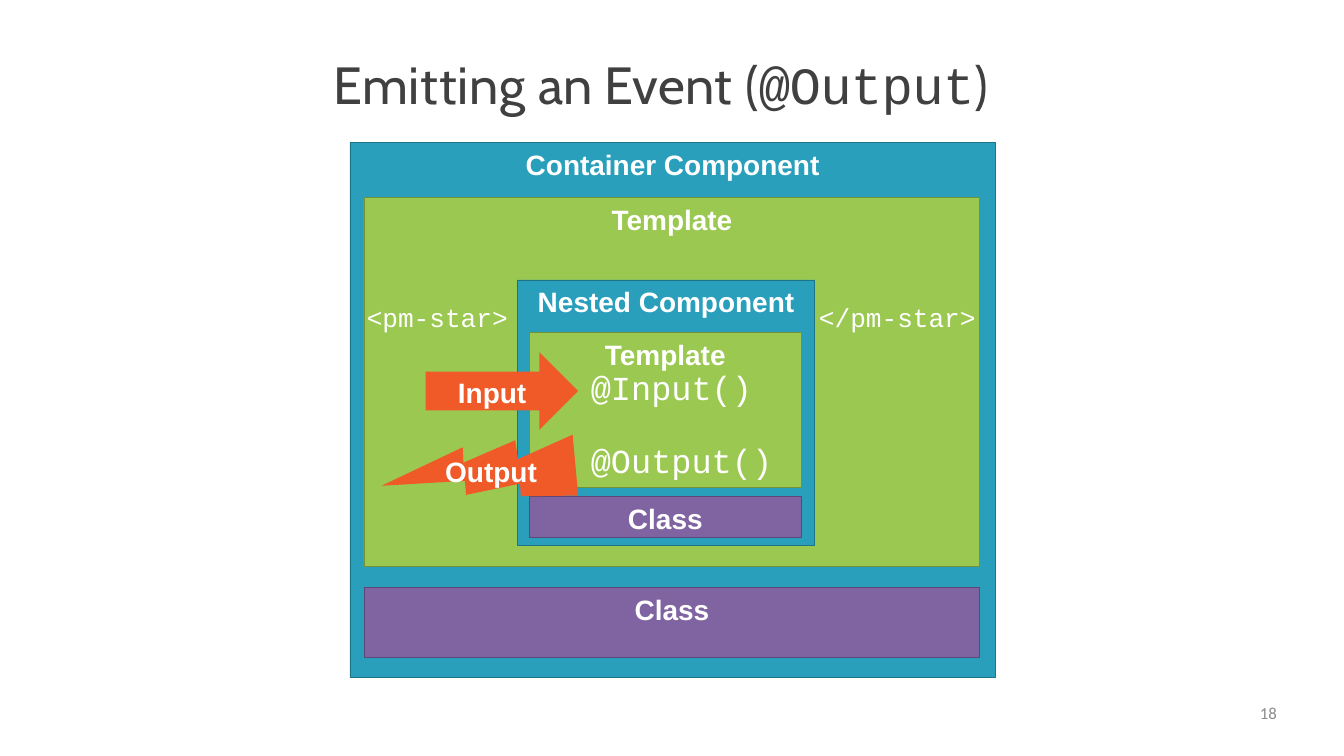
from pptx import Presentation
from pptx.dml.color import RGBColor
from pptx.enum.shapes import MSO_SHAPE
from pptx.enum.text import MSO_ANCHOR, MSO_AUTO_SIZE, PP_ALIGN
from pptx.util import Pt

RECTANGLE = MSO_SHAPE.RECTANGLE
RIGHT_ARROW = MSO_SHAPE.RIGHT_ARROW
TOP, MIDDLE = MSO_ANCHOR.TOP, MSO_ANCHOR.MIDDLE
LEFT, CENTER, RIGHT = PP_ALIGN.LEFT, PP_ALIGN.CENTER, PP_ALIGN.RIGHT
NO_AUTOFIT = MSO_AUTO_SIZE.NONE
PX = 9525
TITLE_ONLY = 5

COLORS = {
    "title": "404040",
    "white": "FFFFFF",
    "component": "2A9FBC",
    "component_edge": "1C7489",
    "template": "9BC850",
    "template_edge": "719238",
    "class": "8064A2",
    "class_edge": "5C4776",
    "flow": "F05A28",
    "number": "8C8C8C",
}


class SlideBuilder:
    heading_font = "Cabin"
    label_font = "Arial"
    code_font = "Courier New"
    number_font = "Calibri"
    label_size = 30

    def __init__(self, slide):
        self.slide = slide

    def color(self, name):
        return RGBColor.from_string(COLORS[name])

    def place(self, box):
        return [length * PX for length in box]

    def frame(self, shape, align, anchor=TOP, top_inset=0):
        frame = shape.text_frame
        frame.word_wrap = True
        frame.auto_size = NO_AUTOFIT
        frame.vertical_anchor = anchor
        frame.margin_left = frame.margin_right = frame.margin_bottom = 0
        frame.margin_top = top_inset * PX
        frame.paragraphs[0].alignment = align
        return frame.paragraphs[0]

    def run(self, paragraph, words, font, size, color, bold=False, spacing=0):
        run = paragraph.add_run()
        run.text = words
        run.font.name = font
        run.font.size = Pt(size)
        run.font.bold = bold
        run.font.color.rgb = self.color(color)
        if spacing:
            run._r.get_or_add_rPr().set("spc", str(spacing))

    def paint(self, shape, fill, edge=None):
        shape.shadow.inherit = False
        shape.fill.solid()
        shape.fill.fore_color.rgb = self.color(fill)
        if edge:
            shape.line.color.rgb = self.color(edge)
            shape.line.width = Pt(1)
        else:
            shape.line.fill.background()

    def title(self, box, pieces):
        heading = self.slide.shapes.title
        heading.left, heading.top, heading.width, heading.height = self.place(box)
        paragraph = self.frame(heading, LEFT, top_inset=2)
        for words, font, spacing in pieces:
            self.run(paragraph, words, font, 56, "title", spacing=spacing)

    def block(self, box, role, label):
        block = self.slide.shapes.add_shape(RECTANGLE, *self.place(box))
        self.paint(block, role, role + "_edge")
        paragraph = self.frame(block, CENTER, top_inset=7)
        self.run(paragraph, label, self.label_font, self.label_size, "white", True)

    def arrow(self, box, label):
        arrow = self.slide.shapes.add_shape(RIGHT_ARROW, *self.place(box))
        self.paint(arrow, "flow")
        paragraph = self.frame(arrow, CENTER, MIDDLE, top_inset=4)
        self.run(paragraph, label, self.label_font, self.label_size, "white", True)

    def bolt(self, points):
        outline = self.slide.shapes.build_freeform(*points[0], scale=PX)
        outline.add_line_segments(points[1:], close=True)
        self.paint(outline.convert_to_shape(), "flow")

    def text(self, box, words, font, size, color="white", align=LEFT, bold=False):
        area = self.slide.shapes.add_textbox(*self.place(box))
        self.run(self.frame(area, align), words, font, size, color, bold)


def main():
    deck = Presentation()
    deck.slide_width, deck.slide_height = 1920 * PX, 1080 * PX
    build = SlideBuilder(deck.slides.add_slide(deck.slide_layouts[TITLE_ONLY]))
    heading, label, code = build.heading_font, build.label_font, build.code_font

    build.title((476, 73, 968, 92), [
        ("Emitting ", heading, 80),
        ("an ", heading, -20),
        ("Event ", heading, 40),
        ("(", heading, -70),
        ("@Output", code, -70),
        (")", heading, -70),
    ])

    for box, role, name in [
        ((500, 204, 922, 764), "component", "Container Component"),
        ((520, 839, 880, 101), "class", "Class"),
        ((520, 282, 880, 528), "template", "Template"),
        ((739, 400, 425, 380), "component", "Nested Component"),
        ((756, 709, 389, 59), "class", "Class"),
        ((756, 475, 389, 222), "template", "Template"),
    ]:
        build.block(box, role, name)

    build.arrow((608, 503, 218, 111), "Input")
    build.bolt([
        (818, 621), (740, 656), (736, 629), (662, 661), (661, 639), (545, 694),
        (664, 687), (666, 707), (743, 691), (744, 709), (826, 708),
    ])
    build.text((636, 649, 138, 51), "Output", label, 30, bold=True)

    build.text((524, 430, 212, 47), "<pm-star>", code, 28)
    build.text((1170, 431, 228, 47), "</pm-star>", code, 28)
    for top, decorator in [(524, "@Input()"), (628, "@Output()")]:
        build.text((844, top, 270, 60), decorator, code, 36)

    build.text((1382, 1004, 442, 54), "18", build.number_font, 18, "number", RIGHT)
    deck.save("out.pptx")


if __name__ == "__main__":
    main()
